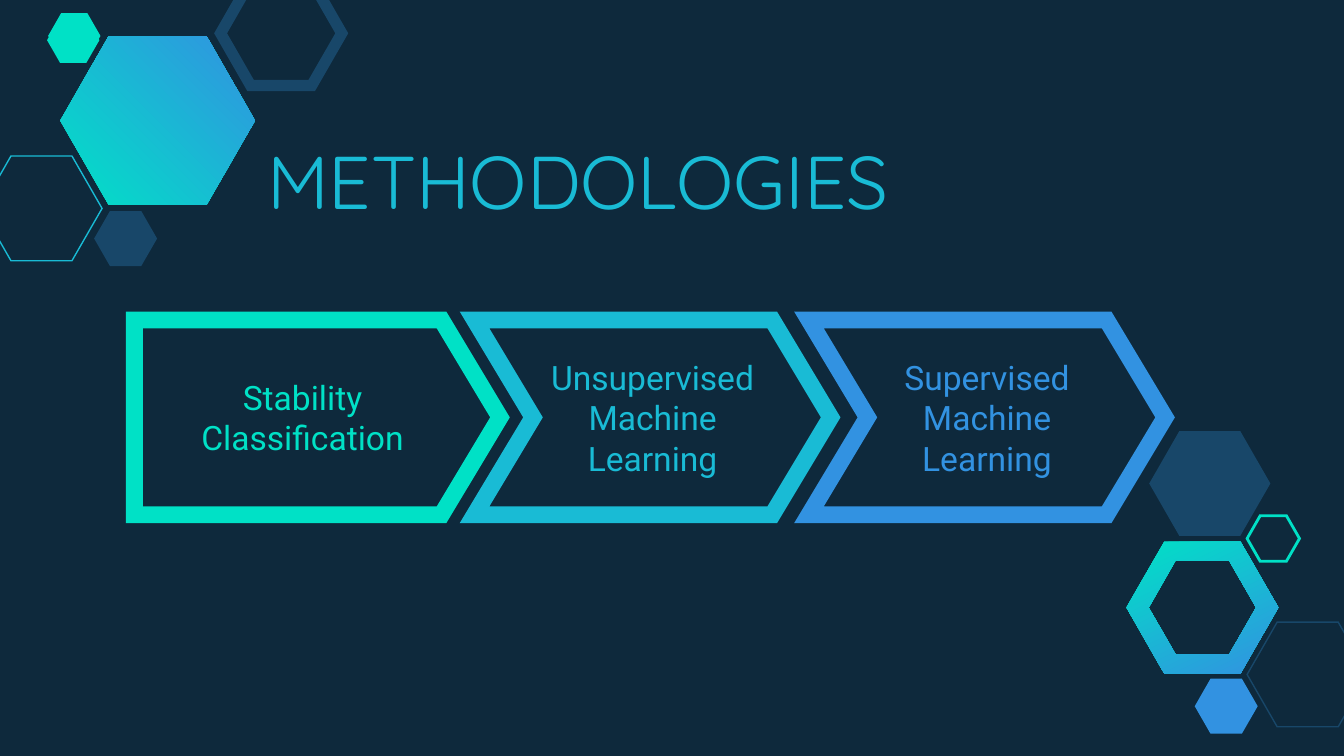
from lxml.etree import SubElement
from pptx import Presentation
from pptx.dml.color import RGBColor
from pptx.enum.shapes import MSO_SHAPE
from pptx.enum.text import MSO_ANCHOR, MSO_AUTO_SIZE, PP_ALIGN
from pptx.oxml.ns import qn
from pptx.util import Cm, Pt

NAVY = RGBColor(0x0E, 0x29, 0x3C)
STEEL = RGBColor(0x18, 0x47, 0x69)
MINT = RGBColor(0x00, 0xE1, 0xC6)
TEAL = RGBColor(0x19, 0xBB, 0xD5)
BLUE = RGBColor(0x32, 0x92, 0xE1)

LARGE, MEDIUM, SMALL = (2.29, 1.98), (1.19, 1.04), (0.99, 0.86)
SLANT = 0.287


def write(frame, text, font, size, color, align, anchor):
    """Fill a text frame with one formatted paragraph."""
    frame.word_wrap = True
    frame.auto_size = MSO_AUTO_SIZE.NONE
    frame.vertical_anchor = anchor
    frame.margin_left = frame.margin_right = Cm(0.25)
    frame.margin_top = frame.margin_bottom = Cm(0.25)
    para = frame.paragraphs[0]
    para.alignment = align
    span = para.add_run()
    span.text = text
    span.font.name = font
    span.font.size = Pt(size)
    span.font.color.rgb = color


def paint(shape, fill=None, line=None, width=0.75):
    """Set a plain fill and a sharp-cornered outline, or neither."""
    shape.shadow.inherit = False
    if fill is None:
        shape.fill.background()
    else:
        shape.fill.solid()
        shape.fill.fore_color.rgb = fill
    if line is None:
        shape.line.fill.background()
    else:
        shape.line.color.rgb = line
        shape.line.width = Pt(width)
        outline = shape._element.spPr.find(qn("a:ln"))
        SubElement(outline, qn("a:miter"), lim="800000")


def blend(shape, angle):
    """Fill a shape with the mint to blue gradient."""
    shape.fill.gradient()
    shape.fill.gradient_angle = angle
    for stop, color in zip(shape.fill.gradient_stops, (MINT, BLUE)):
        stop.color.rgb = color
    for stop, position in zip(shape.fill.gradient_stops, (0, 1)):
        stop.position = position


def add_hexagon(page, left, top, size, **style):
    """Add a flat-topped hexagon."""
    shape = page.shapes.add_shape(
        MSO_SHAPE.HEXAGON, Cm(left), Cm(top), Cm(size[0]), Cm(size[1]))
    shape.adjustments[0] = SLANT
    paint(shape, **style)
    return shape


def hexagon_points(left, top, width, height):
    """Return the corners of a flat-topped hexagon, clockwise."""
    corner = SLANT * height
    right, bottom, middle = left + width, top + height, top + height / 2
    points = [(left, middle), (left + corner, top), (right - corner, top),
              (right, middle), (right - corner, bottom), (left + corner, bottom)]
    return [(Cm(x), Cm(y)) for x, y in points]


def add_ring(page, left, top, width, height, inset):
    """Add a hexagonal ring with a gradient fill."""
    outer = hexagon_points(left, top, width, height)
    inner = hexagon_points(left + inset, top + inset * height / width,
                           width - 2 * inset, height * (1 - 2 * inset / width))
    inner.reverse()
    builder = page.shapes.build_freeform(*outer[0])
    builder.add_line_segments(outer[1:], close=True)
    builder.move_to(*inner[0])
    builder.add_line_segments(inner[1:], close=True)
    ring = builder.convert_to_shape()
    paint(ring)
    blend(ring, 296)


def add_top_cluster(page, left, top):
    """Place the hexagons of the upper left corner."""
    blend(add_hexagon(page, left + 1.5, top + 1.05, (3.68, 3.18)), 45)
    add_hexagon(page, left, top + 3.31, LARGE, line=TEAL)
    add_hexagon(page, left + 2.14, top + 4.35, MEDIUM, fill=STEEL)
    add_hexagon(page, left + 4.53, top, LARGE, line=STEEL, width=6)
    add_hexagon(page, left + 1.27, top + 0.61, SMALL, fill=MINT)
    add_hexagon(page, left + 1.25, top + 0.69, SMALL, fill=MINT)


def add_bottom_cluster(page, left, top):
    """Place the hexagons of the lower right corner."""
    add_ring(page, left, top + 2.09, 2.87, 2.49, 0.42)
    add_hexagon(page, left + 2.28, top + 3.61, LARGE, line=STEEL)
    add_hexagon(page, left + 1.29, top + 4.68, MEDIUM, fill=BLUE)
    add_hexagon(page, left + 0.43, top, LARGE, fill=STEEL)
    add_hexagon(page, left + 2.28, top + 1.6, SMALL, line=MINT, width=1.5)


def add_title(page, left, top, width, height):
    """Move and fill the title placeholder."""
    title = page.shapes.title
    title.left, title.top = Cm(left), Cm(top)
    title.width, title.height = Cm(width), Cm(height)
    write(title.text_frame, "METHODOLOGIES", "Quicksand", 40, TEAL,
          PP_ALIGN.LEFT, MSO_ANCHOR.TOP)


def add_steps(page, left, top, width, height):
    """Place the three arrow steps in a row."""
    steps = [("Stability Classification", MINT),
             ("Unsupervised Machine Learning", TEAL),
             ("Supervised Machine Learning", BLUE)]
    lead, pitch = 0.11, 6.32
    chevron = width - lead - 2 * pitch
    for index, (text, color) in enumerate(steps):
        first = index == 0
        kind = MSO_SHAPE.PENTAGON if first else MSO_SHAPE.CHEVRON
        x = left if first else left + lead + index * pitch
        step = page.shapes.add_shape(
            kind, Cm(x), Cm(top), Cm(chevron + 0.18 if first else chevron),
            Cm(height))
        step.adjustments[0] = 0.3
        paint(step, line=color, width=9)
        write(step.text_frame, text, "Roboto", 18, color,
              PP_ALIGN.CENTER, MSO_ANCHOR.MIDDLE)


def main():
    """Build the slide and save the deck."""
    deck = Presentation()
    deck.slide_width, deck.slide_height = Cm(25.4), Cm(14.29)
    page = deck.slides.add_slide(deck.slide_layouts[5])
    page.background.fill.solid()
    page.background.fill.fore_color.rgb = NAVY
    add_top_cluster(page, -0.36, -0.36)
    add_bottom_cluster(page, 21.29, 8.15)
    add_title(page, 4.8, 2.29, 13.74, 1.8)
    add_steps(page, 2.54, 6.05, 19.48, 3.68)
    deck.save("out.pptx")


if __name__ == "__main__":
    main()
